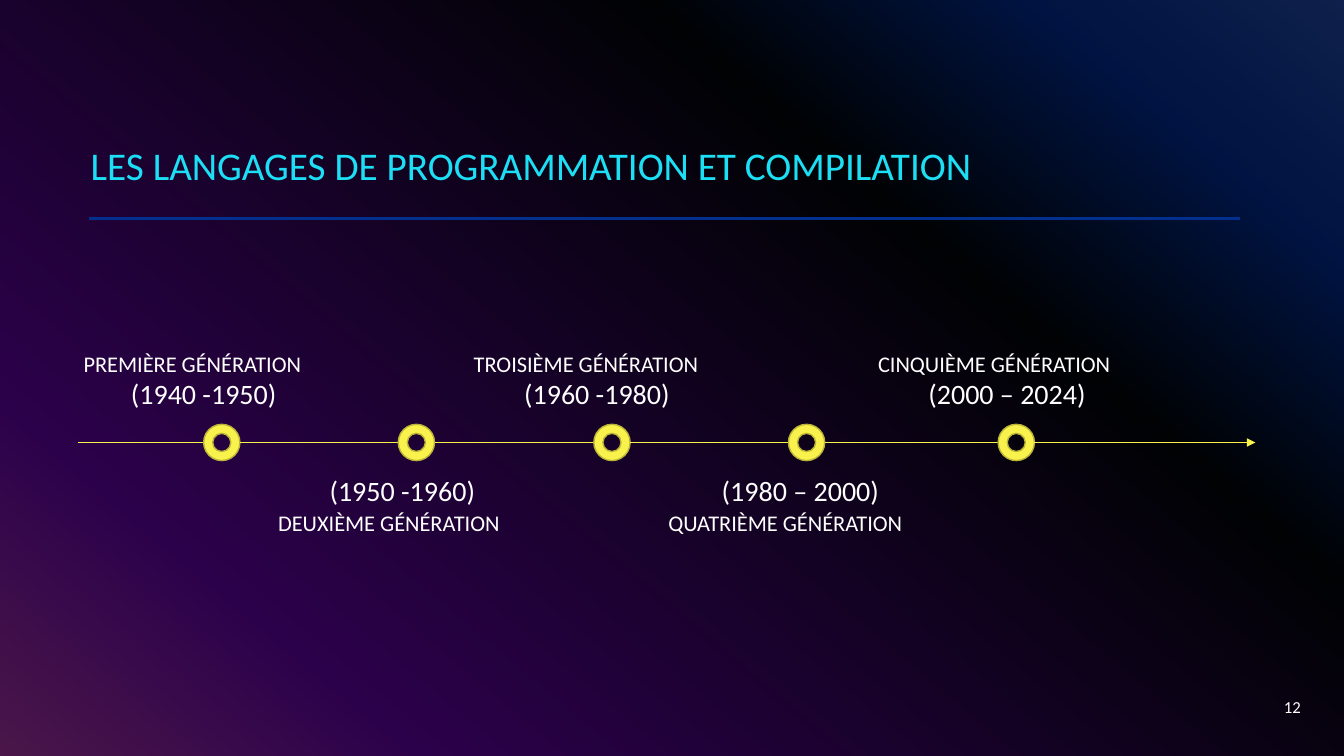
import pptx
import pptx.util
import pptx.oxml
import pptx.dml.color
import pptx.enum.shapes
import pptx.enum.text
from pptx.oxml.ns import qn

TITLE = "LES LANGAGES DE PROGRAMMATION ET COMPILATION"
PAGE_NUMBER = "12"
# name, years, centre of the ring, left of the years box
GENERATIONS = [
    ("PREMIÈRE GÉNÉRATION", "(1940 -1950)", 2.2, 1.2),
    ("DEUXIÈME GÉNÉRATION", "(1950 -1960)", 4.13, 3.17),
    ("TROISIÈME GÉNÉRATION", "(1960 -1980)", 6.07, 5.1),
    ("QUATRIÈME GÉNÉRATION", "(1980 – 2000)", 8.0, 7.06),
    ("CINQUIÈME GÉNÉRATION", "(2000 – 2024)", 10.08, 9.11),
]
COLORS = {"title": "1CDFF5", "text": "FFFFFF", "axis": "FAF24C",
          "ring edge": "B9B338", "rule": "03308F", "veil": "000000"}
GRADIENT = [(0, "316CFC"), (14, "0343DF"), (31, "02090E"), (81, "9405FC"), (100, "FC4EFB")]
GRADIENT_ANGLE = 130
VEIL_OPACITY = 70

WIDTH, HEIGHT = 13.33, 7.5
AXIS_Y, AXIS_START, AXIS_END = 4.39, 0.77, 12.45
RING = 0.36
NAME_OFFSET = 1.47
ROWS = {"above": {"name": 3.42, "years": 3.69}, "below": {"name": 5.0, "years": 4.65}}

Inches, Pt = pptx.util.Inches, pptx.util.Pt
Shape = pptx.enum.shapes.MSO_SHAPE
Align, Anchor = pptx.enum.text.PP_ALIGN, pptx.enum.text.MSO_ANCHOR


def color(name):
    return pptx.dml.color.RGBColor.from_string(COLORS[name])


def element(xml):
    namespace = "http://schemas.openxmlformats.org/drawingml/2006/main"
    return pptx.oxml.parse_xml(xml.replace(">", f' xmlns:a="{namespace}">', 1)
                               if "/>" not in xml[:xml.index(">") + 1]
                               else xml.replace("/>", f' xmlns:a="{namespace}"/>', 1))


def place(shape, left, top, width, height):
    for side, value in {"left": left, "top": top, "width": width, "height": height}.items():
        setattr(shape, side, Inches(value))


def write(shape, text, size, ink="text", align=Align.LEFT, anchor=Anchor.TOP):
    frame = shape.text_frame
    frame.word_wrap = True
    frame.vertical_anchor = anchor
    para = frame.paragraphs[0]
    para.alignment = align
    span = para.add_run()
    span.text = text
    for key, value in {"name": "Calibri", "size": Pt(size), "bold": False}.items():
        setattr(span.font, key, value)
    span.font.color.rgb = color(ink)
    return para


def add_text(page, left, top, width, height, text, size, **options):
    box = page.shapes.add_textbox(*map(Inches, (left, top, width, height)))
    write(box, text, size, **options)


def add_shape(page, kind, left, top, width, height, fill):
    shape = page.shapes.add_shape(kind, *map(Inches, (left, top, width, height)))
    shape.shadow.inherit = False
    shape.fill.solid()
    shape.fill.fore_color.rgb = color(fill)
    return shape


def add_line(page, start, end, y, ink, weight, arrow=False):
    line = page.shapes.add_connector(pptx.enum.shapes.MSO_CONNECTOR.STRAIGHT,
                                     *map(Inches, (start, y, end, y)))
    line.line.color.rgb = color(ink)
    line.line.width = Pt(weight)
    if arrow:
        line.line._get_or_add_ln().append(element('<a:tailEnd type="triangle"/>'))
    line._element.spPr.append(element("<a:effectLst/>"))


def paint_background(page):
    """Lay the gradient, then a translucent veil behind everything else."""
    fill = page.background.fill
    fill.gradient()
    gradient = page.background._cSld.find(".//" + qn("a:gradFill"))
    stops = gradient.find(qn("a:gsLst"))
    for stop in list(stops):
        stops.remove(stop)
    for position, value in GRADIENT:
        stops.append(element(f'<a:gs pos="{position * 1000}"><a:srgbClr val="{value}"/></a:gs>'))
    linear = gradient.find(qn("a:lin"))
    linear.set("ang", str(GRADIENT_ANGLE * 60000))
    linear.set("scaled", "0")

    veil = add_shape(page, Shape.RECTANGLE, 0, 0, WIDTH, HEIGHT, "veil")
    veil.line.fill.background()
    tint = veil._element.spPr.find(".//" + qn("a:srgbClr"))
    tint.append(element(f'<a:alpha val="{VEIL_OPACITY * 1000}"/>'))
    page.shapes._spTree.insert(2, veil._element)


def add_timeline(page):
    start = AXIS_START
    for index, (name, years, center, years_left) in enumerate(GENERATIONS):
        add_line(page, start, center - RING / 2, AXIS_Y, "axis", 0.5)
        start = center + RING / 2
        ring = add_shape(page, Shape.DONUT, center - RING / 2, AXIS_Y - RING / 2,
                         RING, RING, "axis")
        ring.line.color.rgb = color("ring edge")
        ring.line.width = Pt(1)
        row = ROWS["below" if index % 2 else "above"]
        add_text(page, center - NAME_OFFSET, row["name"], 3.31, 0.37, name, 16)
        add_text(page, years_left, row["years"], 2.2, 0.44, years, 20)
    add_line(page, start, AXIS_END, AXIS_Y, "axis", 0.5, arrow=True)


def main():
    deck = pptx.Presentation()
    deck.slide_width, deck.slide_height = Inches(WIDTH), Inches(HEIGHT)
    page = deck.slides.add_slide(deck.slide_layouts[5])
    paint_background(page)
    title = page.shapes.title
    place(title, 0.8, 0.47, 11.5, 1.45)
    write(title, TITLE, 28, "title", anchor=Anchor.BOTTOM).line_spacing = 0.9
    add_line(page, 0.88, 12.3, 2.17, "rule", 2)
    add_timeline(page)
    add_text(page, 10, 6.81, 3, 0.4, PAGE_NUMBER, 12, align=Align.RIGHT, anchor=Anchor.MIDDLE)
    deck.save("out.pptx")


if __name__ == "__main__":
    main()
